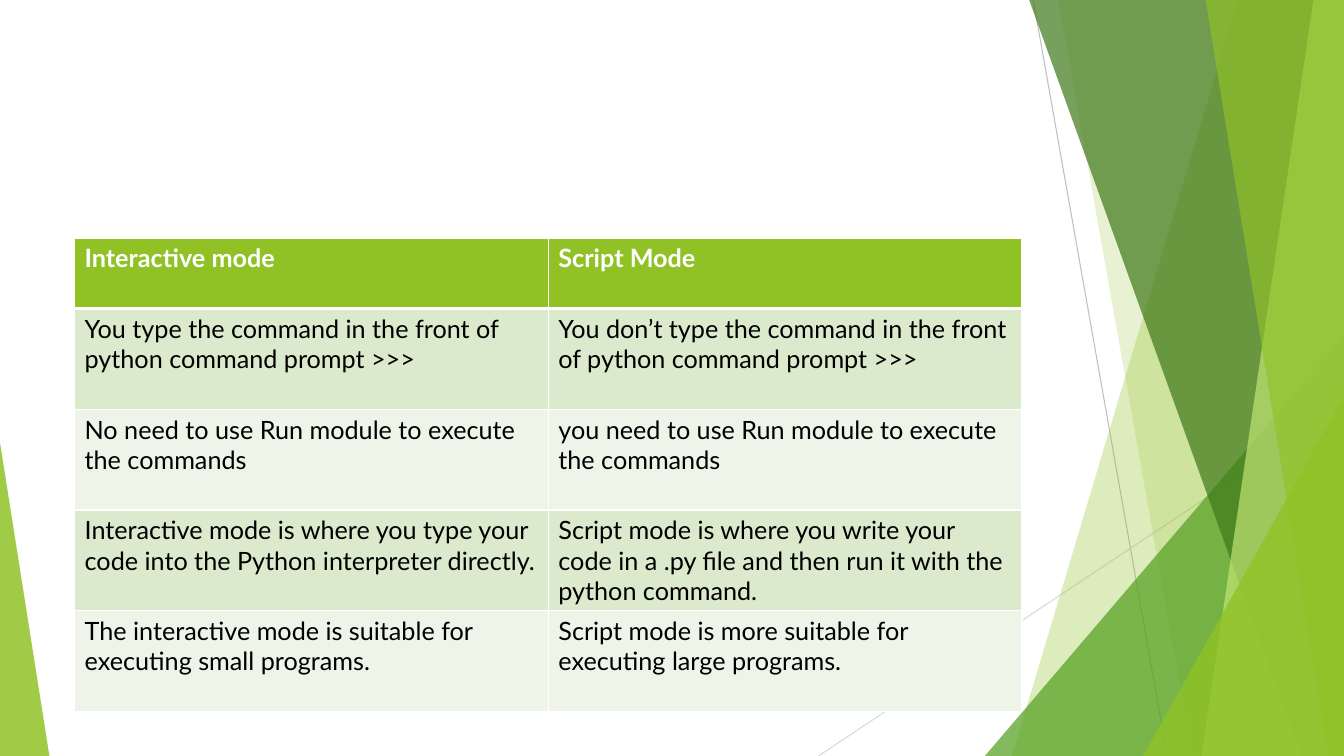
from dataclasses import dataclass

from lxml import etree
from pptx import Presentation, util as u
from pptx.dml import color
from pptx.enum import shapes
from pptx.oxml import ns


@dataclass(frozen=True)
class Theme:
    font: str = "Lato"
    size: int = 18
    lime: str = "90C226"
    pale_lime: str = "C0E474"
    green: str = "54A021"
    forest: str = "3F7819"
    gray: str = "BFBFBF"
    light_gray: str = "D9D9D9"
    white: str = "FFFFFF"
    black: str = "000000"
    bands: tuple = ("DBE9CD", "EEF4E8")


class Deck:
    def __init__(self, theme):
        self.theme = theme
        self.prs = Presentation()
        self.prs.slide_width, self.prs.slide_height = u.Inches(13.333), u.Inches(7.5)
        self.s = self.prs.slides.add_slide(self.prs.slide_layouts[6])

    def x(self, percent):
        return round(self.prs.slide_width * percent / 100)

    def y(self, percent):
        return round(self.prs.slide_height * percent / 100)

    def paint(self, sp, rgb, alpha):
        sp.shadow.inherit = False
        sp.line.fill.background()
        sp.fill.solid()
        sp.fill.fore_color.rgb = color.RGBColor.from_string(rgb)
        clr = sp.fill._xPr.find(".//" + ns.qn("a:srgbClr"))
        etree.SubElement(clr, ns.qn("a:alpha"), val=str(alpha * 1000))

    def line(self, x1, y1, x2, y2, rgb):
        c = self.s.shapes.add_connector(
            shapes.MSO_CONNECTOR.STRAIGHT, self.x(x1), self.y(y1), self.x(x2), self.y(y2))
        c.line.color.rgb = color.RGBColor.from_string(rgb)
        c.line.width = u.Pt(0.75)
        etree.SubElement(c._element.spPr, ns.qn("a:effectLst"))

    def panel(self, top, bottom, rgb, alpha):
        fb = self.s.shapes.build_freeform(self.x(top), 0)
        corners = ((100, 0), (100, 100), (bottom, 100))
        fb.add_line_segments([(self.x(a), self.y(b)) for a, b in corners], close=True)
        self.paint(fb.convert_to_shape(), rgb, alpha)

    def triangle(self, left, top, right, apex, rgb, alpha):
        sp = self.s.shapes.add_shape(
            shapes.MSO_SHAPE.ISOSCELES_TRIANGLE, self.x(left), self.y(top),
            self.x(right - left), self.y(100 - top))
        sp.adjustments[0] = apex
        self.paint(sp, rgb, alpha)

    def borders(self, cell, widths):
        tc_pr = cell._tc.get_or_add_tcPr()
        for i, (side, width) in enumerate(zip("LRTB", widths)):
            ln = etree.Element(ns.qn(f"a:ln{side}"), w=str(u.Pt(width)))
            fill = etree.SubElement(ln, ns.qn("a:solidFill"))
            etree.SubElement(fill, ns.qn("a:srgbClr"), val=self.theme.white)
            tc_pr.insert(i, ln)

    def table(self, left, top, width, header_height, row_height, rows):
        t = self.theme
        heights = [header_height] + [row_height] * (len(rows) - 1)
        tbl = self.s.shapes.add_table(
            len(rows), len(rows[0]), self.x(left), self.y(top),
            self.x(width), self.y(sum(heights))).table
        for i, (row, height) in enumerate(zip(rows, heights)):
            tbl.rows[i].height = self.y(height)
            header = i == 0
            for j, words in enumerate(row):
                cell = tbl.cell(i, j)
                cell.fill.solid()
                cell.fill.fore_color.rgb = color.RGBColor.from_string(
                    t.lime if header else t.bands[(i - 1) % 2])
                self.borders(cell, (1, 1, 3 if i == 1 else 1, 3 if header else 1))
                p = cell.text_frame.paragraphs[0]
                p.text = words
                p.font.name, p.font.size, p.font.bold = t.font, u.Pt(t.size), header
                p.font.color.rgb = color.RGBColor.from_string(t.white if header else t.black)


MODES = [
    ("Interactive mode", "Script Mode"),
    ("You type the command in the front of python command prompt >>>",
     "You don’t type the command in the front of python command prompt >>>"),
    ("No need to use Run module to execute the commands",
     "you need to use Run module to execute the commands"),
    ("Interactive mode is where you type your code into the Python interpreter directly.",
     "Script mode is where you write your code in a .py file and then run it "
     "with the python command."),
    ("The interactive mode is suitable for executing small programs.",
     "Script mode is more suitable for executing large programs."),
]


def main():
    t = Theme()
    d = Deck(t)
    d.line(76.88, 0, 86.85, 100, t.gray)
    d.line(100, 53.73, 60.9, 100, t.light_gray)
    d.panel(92.1, 75.3, t.lime, 30)
    d.panel(78.75, 88.73, t.lime, 20)
    d.triangle(73.28, 44.4, 100, 1, t.green, 72)
    d.panel(76.58, 96.83, t.forest, 70)
    d.panel(97.73, 89.4, t.pale_lime, 70)
    d.panel(89.7, 98.85, t.lime, 65)
    d.triangle(85.05, 52.4, 100, 1, t.lime, 80)
    d.triangle(0, 58.53, 3.68, 0, t.lime, 85)
    d.table(5.55, 31.47, 70.5, 9.33, 13.33, MODES)
    d.prs.save("out.pptx")


if __name__ == "__main__":
    main()
